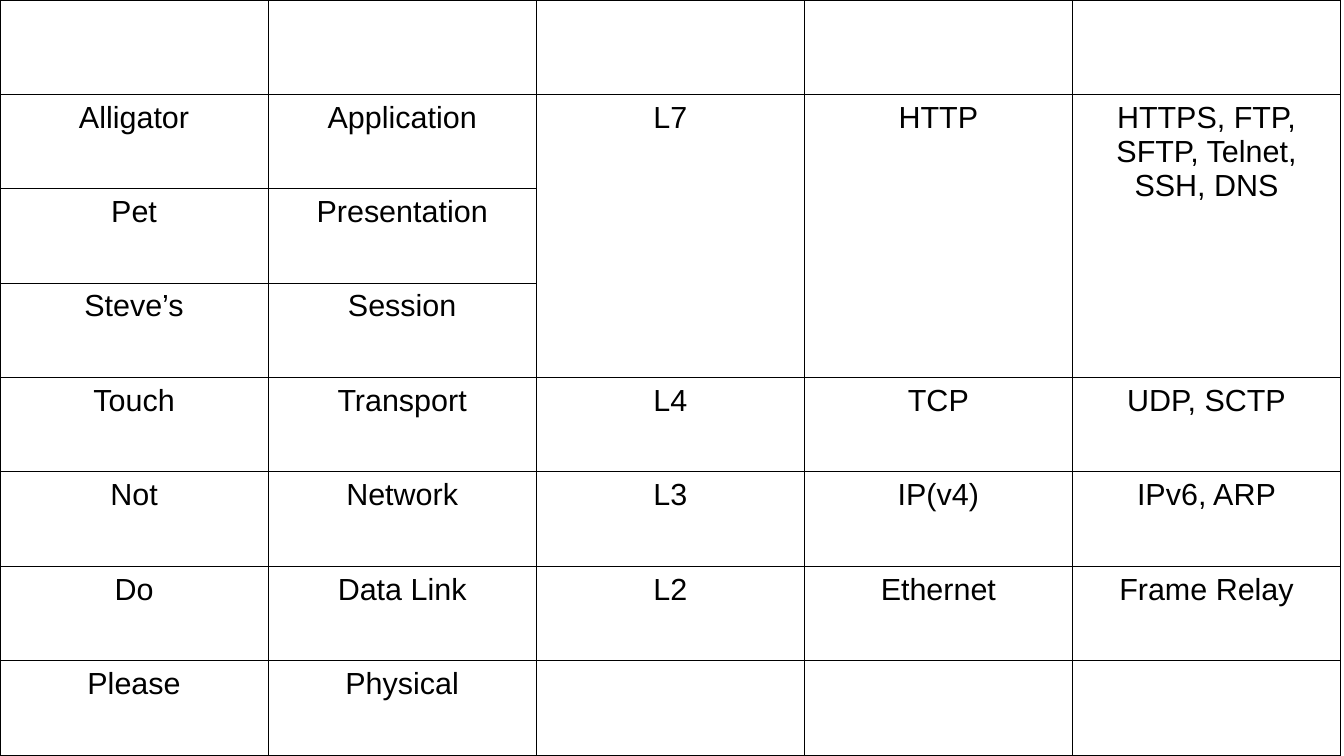
from pptx import Presentation
from pptx.dml.color import RGBColor
from pptx.enum.text import MSO_ANCHOR, PP_ALIGN
from pptx.oxml import parse_xml
from pptx.oxml.ns import nsdecls
from pptx.util import Pt

LAYERS = [
    ["", "", "", "", ""],
    ["Alligator", "Application", "L7", "HTTP", "HTTPS, FTP, SFTP, Telnet, SSH, DNS"],
    ["Pet", "Presentation", "", "", ""],
    ["Steve’s", "Session", "", "", ""],
    ["Touch", "Transport", "L4", "TCP", "UDP, SCTP"],
    ["Not", "Network", "L3", "IP(v4)", "IPv6, ARP"],
    ["Do", "Data Link", "L2", "Ethernet", "Frame Relay"],
    ["Please", "Physical", "", "", ""],
]
COLUMN_WIDTH, ROW_HEIGHT = 158.3, 55.75
L7_ROWS = (1, 3)
L7_COLUMNS = (2, 3, 4)


def color(hex_string):
    return RGBColor.from_string(hex_string)


class SlideBuilder:
    font, size, ink = "Arial", 18, "000000"
    border_width = 0.57
    margin_x, margin_y = 2.9, 3.6

    def __init__(self, slide):
        self.slide = slide

    def add_border(self, cell):
        properties = cell._tc.get_or_add_tcPr()
        for side in ("lnL", "lnR", "lnT", "lnB"):
            properties.append(parse_xml(
                f'<a:{side} {nsdecls("a")} w="{Pt(self.border_width)}">'
                f'<a:solidFill><a:srgbClr val="{self.ink}"/></a:solidFill></a:{side}>'))

    def format_cell(self, cell, text):
        cell.margin_left = cell.margin_right = Pt(self.margin_x)
        cell.margin_top = cell.margin_bottom = Pt(self.margin_y)
        cell.vertical_anchor = MSO_ANCHOR.TOP
        self.add_border(cell)
        cell.fill.background()
        cell.text_frame.text = text
        paragraph = cell.text_frame.paragraphs[0]
        paragraph.alignment = PP_ALIGN.CENTER
        for run in paragraph.runs:
            run.font.name = self.font
            run.font.size = Pt(self.size)
            run.font.color.rgb = color(self.ink)

    def add_table(self, rows, left, top, column_width, row_height):
        row_count, column_count = len(rows), len(rows[0])
        table = self.slide.shapes.add_table(
            row_count, column_count, Pt(left), Pt(top),
            Pt(column_width * column_count), Pt(row_height * row_count)).table
        table.first_row = table.horz_banding = False
        for column in table.columns:
            column.width = Pt(column_width)
        for row, texts in zip(table.rows, rows):
            row.height = Pt(row_height)
            for cell, text in zip(row.cells, texts):
                self.format_cell(cell, text)
        return table


def main():
    presentation = Presentation()
    presentation.slide_width = Pt(793.44)
    presentation.slide_height = Pt(446.4)
    slide = presentation.slides.add_slide(presentation.slide_layouts[6])

    # Network layers, with the top three sharing their L7 cells
    builder = SlideBuilder(slide)
    table = builder.add_table(LAYERS, 0, 0, COLUMN_WIDTH, ROW_HEIGHT)
    first_row, last_row = L7_ROWS
    for column in L7_COLUMNS:
        table.cell(first_row, column).merge(table.cell(last_row, column))

    presentation.save("out.pptx")


if __name__ == "__main__":
    main()
